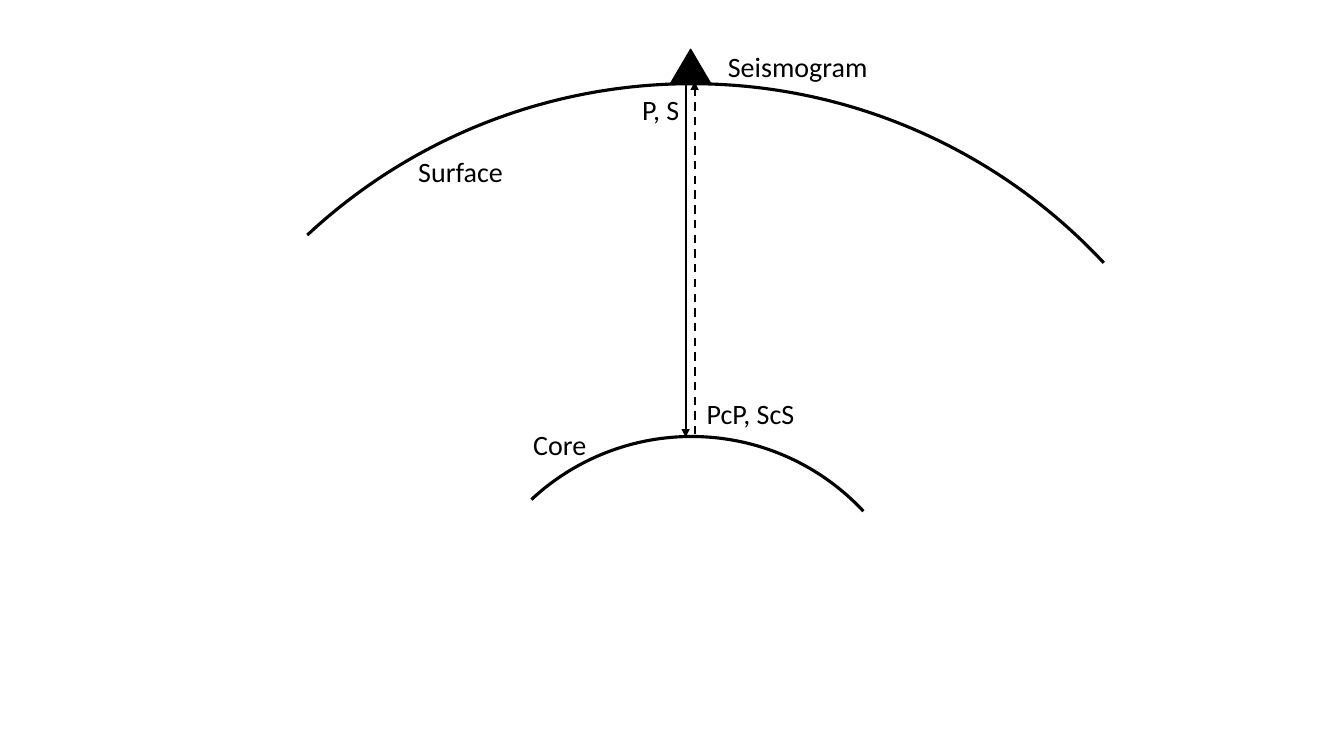
"""Build a slide of seismic waves travelling vertically between surface and core."""
from pptx import Presentation
from pptx import util as u
from pptx.dml.color import RGBColor
from pptx.enum import dml, shapes, text
from pptx.oxml.ns import qn
from lxml import etree

PX = 9144
BLACK = RGBColor(0, 0, 0)


def px(*lengths):
    return [u.Emu(length * PX) for length in lengths]


def add_label(wording, *, left, top, width, height=44, size=20, font="Calibri", color=BLACK):
    label = diagram.add_textbox(*px(left, top, width, height))
    frame = label.text_frame
    frame.auto_size = text.MSO_AUTO_SIZE.SHAPE_TO_FIT_TEXT
    run = frame.paragraphs[0].add_run()
    run.text = wording
    run.font.size = u.Pt(size)
    run.font.name = font
    run.font.color.rgb = color


deck = Presentation()
deck.slide_width, deck.slide_height = px(1333, 750)
slide = deck.slides.add_slide(deck.slide_layouts[6])
diagram = slide.shapes.add_group_shape().shapes

for left, top, diameter in [(127, 83, 1118), (453, 433, 466)]:
    boundary = diagram.add_shape(shapes.MSO_SHAPE.ARC, *px(left, top, diameter, diameter))
    boundary.rotation = 317
    boundary.shadow.inherit = False
    boundary.fill.background()
    boundary.line.color.rgb = BLACK
    boundary.line.width = u.Pt(2.25)

station = diagram.add_shape(shapes.MSO_SHAPE.ISOSCELES_TRIANGLE, *px(665, 49, 40, 34))
station.shadow.inherit = False
station.fill.solid()
station.fill.fore_color.rgb = BLACK
station.line.color.rgb = BLACK
station.line.width = u.Pt(1)

for x, start, end, dash in [
    (680, 83, 434, dml.MSO_LINE.SOLID),
    (689, 431, 81, dml.MSO_LINE.DASH),
]:
    ray = diagram.add_connector(shapes.MSO_CONNECTOR.STRAIGHT, *px(x, start, x, end))
    ray.line.color.rgb = BLACK
    ray.line.width = u.Pt(1.5)
    ray.line.dash_style = dash
    etree.SubElement(ray.line._get_or_add_ln(), qn("a:tailEnd"), type="triangle")
    etree.SubElement(ray._element.spPr, qn("a:effectLst"))

for wording, left, top, width in [
    ("P, S", 627, 87, 66),
    ("PcP, ScS", 691, 388, 119),
    ("Seismogram", 712, 44, 165),
    ("Surface", 405, 148, 106),
    ("Core", 519, 419, 77),
]:
    add_label(wording, left=left, top=top, width=width)

deck.save("out.pptx")
